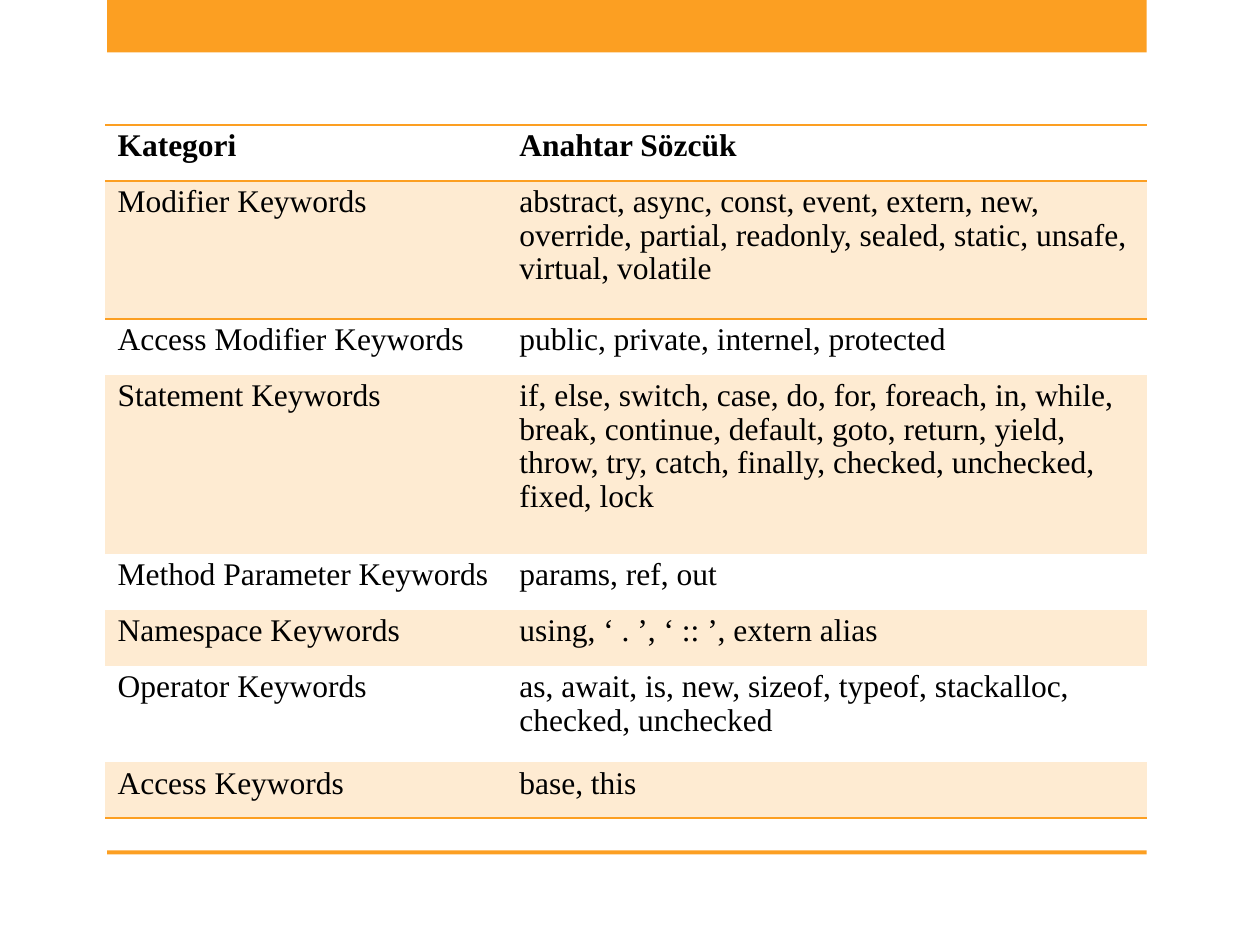
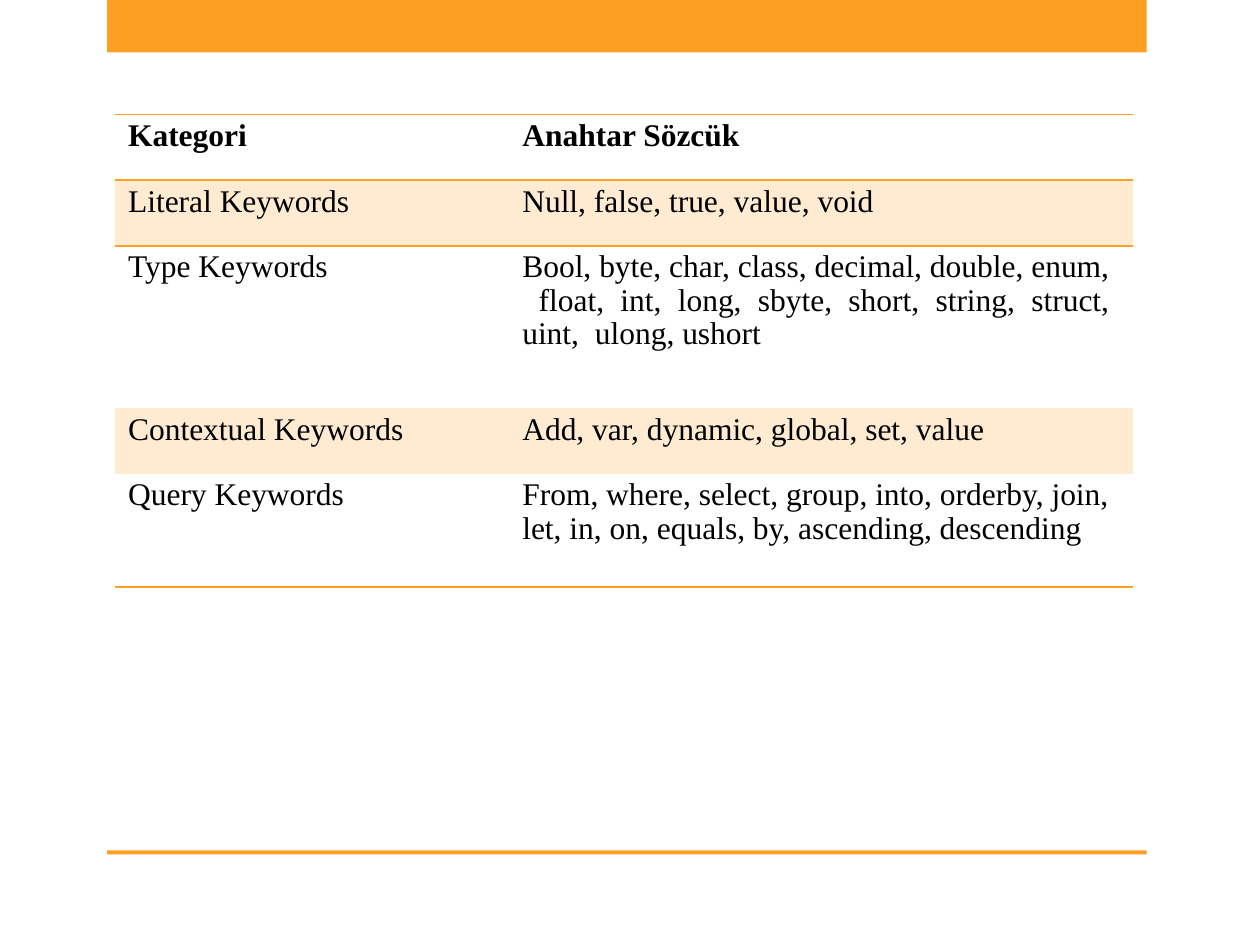
from dataclasses import dataclass

from lxml import etree
from pptx import Presentation
from pptx.dml.color import RGBColor
from pptx.enum import shapes, text
from pptx.oxml.ns import qn
from pptx.util import Pt

ORANGE = RGBColor(0xFC, 0x9F, 0x22)
CREAM = RGBColor(0xFE, 0xEB, 0xD2)
BLACK = RGBColor(0x00, 0x00, 0x00)

FONT_FORMAT = {"name": "Times New Roman", "size": Pt(18)}
PARAGRAPH_FORMAT = {"space_before": Pt(3), "line_spacing": 0.96}
PLAIN_TABLE_STYLE = "{2D5ABB26-0587-4C30-8999-92F81FD0307C}"
HEADER = ("Kategori", "Anahtar Sözcük")
LABEL_INDENT = 7.2
CELL_TOP = 2.9
RULE_WIDTH = 1


@dataclass(frozen=True)
class Band:
    left: float
    top: float
    width: float
    height: float


@dataclass(frozen=True)
class KeywordRow:
    category: str
    keywords: str
    height: float
    justified: bool = False
    right_margin: float = 0


@dataclass(frozen=True)
class KeywordTable:
    left: float
    top: float
    column_widths: tuple[float, float]
    keyword_indent: float
    header_height: float
    rows: tuple[KeywordRow, ...]


# Bands at the head and foot of every slide
BANDS = (Band(61.2, 0, 594, 29.9), Band(61.2, 486, 594, 2.2))

TABLES = (
    KeywordTable(60, 71.4, (228.2, 367.2), 8.6, 32, (
        KeywordRow("Modifier Keywords",
                   "abstract, async, const, event, extern, new, override, partial, "
                   "readonly, sealed, static, unsafe,  virtual, volatile", 79),
        KeywordRow("Access Modifier Keywords",
                   "public, private, internel, protected", 32),
        KeywordRow("Statement Keywords",
                   "if, else, switch, case, do, for, foreach, in, while,  break, "
                   "continue, default, goto, return, yield, throw, try, catch, "
                   "finally, checked, unchecked, fixed, lock", 102.3),
        KeywordRow("Method Parameter Keywords", "params, ref, out", 32),
        KeywordRow("Namespace Keywords", "using, ‘ . ’, ‘ :: ’, extern alias", 32),
        KeywordRow("Operator Keywords",
                   "as, await, is, new, sizeof, typeof, stackalloc,  checked, "
                   "unchecked", 55),
        KeywordRow("Access Keywords", "base, this", 32),
    )),
    KeywordTable(66, 65.3, (198.7, 383), 33.8, 37.7, (
        KeywordRow("Literal Keywords", "Null, false, true, value, void", 37.7),
        KeywordRow("Type Keywords",
                   "Bool, byte, char, class, decimal, double, enum,  float, int, "
                   "long, sbyte, short, string, struct, uint,  ulong, ushort",
                   92.6, justified=True, right_margin=13.5),
        KeywordRow("Contextual Keywords",
                   "Add, var, dynamic, global, set, value", 37.7),
        KeywordRow("Query Keywords",
                   "From, where, select, group, into, orderby, join,  let, in, on, "
                   "equals, by, ascending, descending", 64.6),
    )),
)


def apply_format(target, values: dict) -> None:
    for name, value in values.items():
        setattr(target, name, value)


def draw_band(slide, band: Band) -> None:
    shape = slide.shapes.add_shape(
        shapes.MSO_SHAPE.RECTANGLE,
        Pt(band.left), Pt(band.top), Pt(band.width), Pt(band.height))
    shape.shadow.inherit = False
    shape.fill.solid()
    shape.fill.fore_color.rgb = ORANGE
    shape.line.fill.background()


def add_rule(cell, side: str) -> None:
    """Rule one side of a cell: lnT for the top, lnB for the bottom."""
    line = etree.SubElement(cell._tc.get_or_add_tcPr(), qn(f"a:{side}"),
                            w=str(Pt(RULE_WIDTH)))
    fill = etree.SubElement(line, qn("a:solidFill"))
    etree.SubElement(fill, qn("a:srgbClr"), val=str(ORANGE))


def fill_cell(cell, content: str, indent: float, bold: bool, shaded: bool,
              rules: list[str], justified: bool, right_margin: float) -> None:
    apply_format(cell, {"margin_left": Pt(indent), "margin_top": Pt(CELL_TOP),
                        "margin_right": Pt(right_margin), "margin_bottom": 0})
    for side in rules:
        add_rule(cell, side)
    if shaded:
        cell.fill.solid()
        cell.fill.fore_color.rgb = CREAM
    else:
        cell.fill.background()
    paragraph = cell.text_frame.paragraphs[0]
    apply_format(paragraph, PARAGRAPH_FORMAT)
    paragraph.alignment = (text.PP_ALIGN.JUSTIFY if justified
                           else text.PP_ALIGN.LEFT)
    run = paragraph.add_run()
    run.text = content
    apply_format(run.font, FONT_FORMAT | {"bold": bold})
    run.font.color.rgb = BLACK


def draw_table(slide, design: KeywordTable) -> None:
    rows = (KeywordRow(*HEADER, design.header_height), *design.rows)
    frame = slide.shapes.add_table(
        len(rows), len(HEADER), Pt(design.left), Pt(design.top),
        Pt(sum(design.column_widths)), Pt(sum(row.height for row in rows)))
    table = frame.table
    apply_format(table, {"first_row": False, "horz_banding": False})
    table._tbl.tblPr.find(qn("a:tableStyleId")).text = PLAIN_TABLE_STYLE
    for column, width in zip(table.columns, design.column_widths):
        column.width = Pt(width)

    last = len(rows) - 1
    for index, row in enumerate(rows):
        table.rows[index].height = Pt(row.height)
        # Rules frame the header, the first keyword row and the table's foot
        rules = (["lnT"] if index <= 1 else []) + (
            ["lnB"] if index in (0, 1, last) else [])
        shared = {"bold": index == 0, "shaded": index % 2 == 1, "rules": rules}
        fill_cell(table.cell(index, 0), row.category, LABEL_INDENT,
                  justified=False, right_margin=0, **shared)
        fill_cell(table.cell(index, 1), row.keywords, design.keyword_indent,
                  justified=row.justified, right_margin=row.right_margin, **shared)


def main() -> None:
    presentation = Presentation()
    apply_format(presentation, {"slide_width": Pt(720), "slide_height": Pt(540)})
    blank_layout = presentation.slide_layouts[6]
    for design in TABLES:
        slide = presentation.slides.add_slide(blank_layout)
        for band in BANDS:
            draw_band(slide, band)
        draw_table(slide, design)
    presentation.save("out.pptx")


if __name__ == "__main__":
    main()
